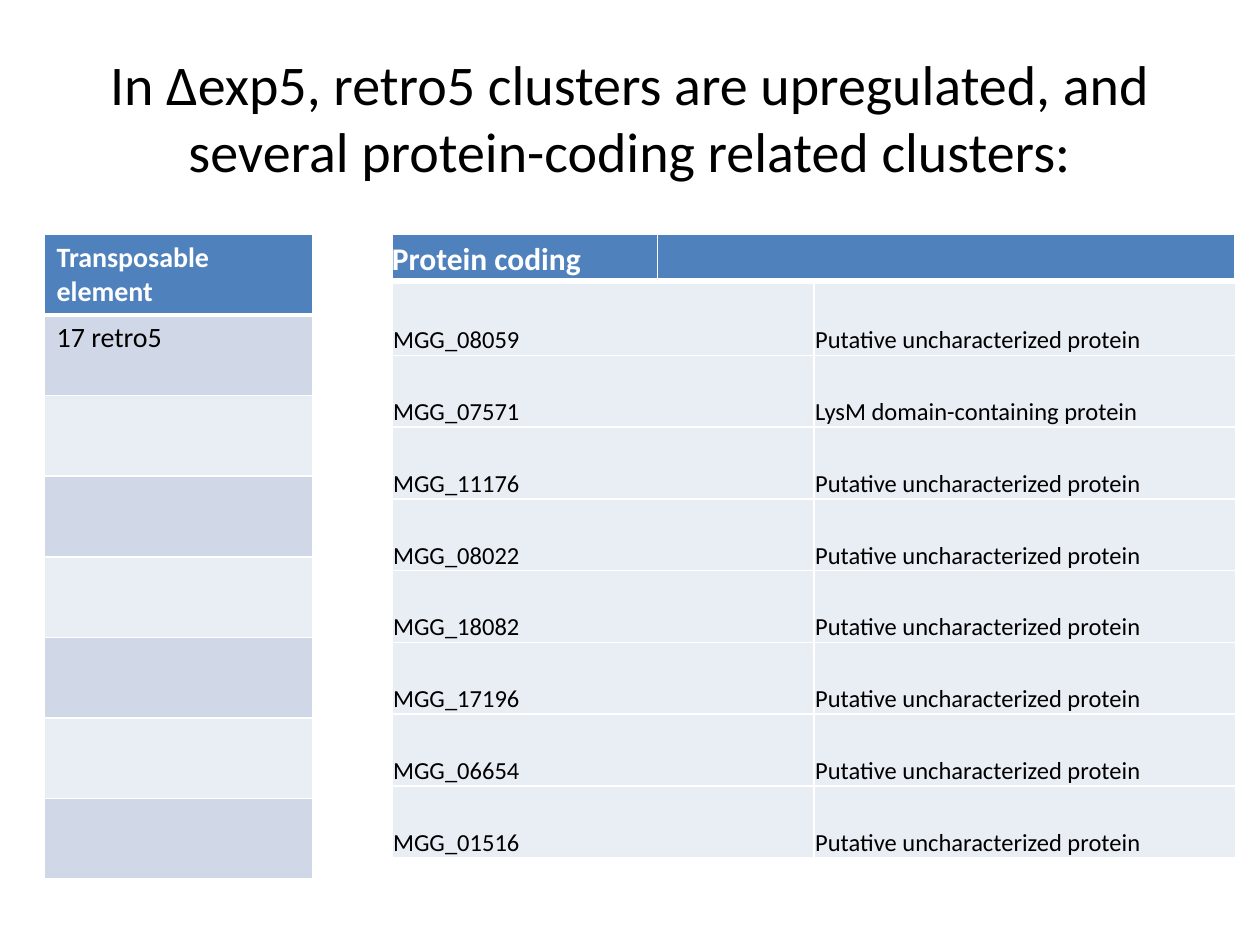
from dataclasses import dataclass
from lxml import etree
from pptx import Presentation
from pptx.dml.color import RGBColor
from pptx.enum.text import MSO_ANCHOR, PP_ALIGN
from pptx.oxml.ns import qn
from pptx.util import Inches, Pt

TOP, MIDDLE, BOTTOM = MSO_ANCHOR.TOP, MSO_ANCHOR.MIDDLE, MSO_ANCHOR.BOTTOM
CENTER = PP_ALIGN.CENTER


@dataclass(frozen=True)
class Theme:
    font: str = "Calibri"
    black: str = "000000"
    white: str = "FFFFFF"
    blue: str = "4F81BD"
    dark: str = "D0D8E8"
    light: str = "E9EDF4"
    title: int = 32
    head: int = 18
    label: int = 16
    body: int = 14


theme = Theme()


def style(frame, size, color, bold=False):
    for para in frame.paragraphs:
        para.font.size = Pt(size)
        for run in para.runs:
            run.font.name = theme.font
            run.font.size = Pt(size)
            run.font.bold = bold
            run.font.color.rgb = RGBColor.from_string(color)


def add_grid(slide, left, top, widths, height, rows, fills, size, anchor, inset, head):
    shape = slide.shapes.add_table(
        len(rows), len(widths), Inches(left), Inches(top),
        Inches(sum(widths)), Inches(height * len(rows)))
    table = shape.table
    table.first_row = table.horz_banding = False
    for col, width in zip(table.columns, widths):
        col.width = Inches(width)
    for r, texts in enumerate(rows):
        table.rows[r].height = Inches(height)
        top_row = head and r == 0
        for c, text in enumerate(texts):
            cell = table.cell(r, c)
            cell.text_frame.text = text
            style(cell.text_frame, size, theme.white if top_row else theme.black, top_row)
            cell.vertical_anchor = anchor
            (cell.margin_left, cell.margin_top,
             cell.margin_right, cell.margin_bottom) = map(Inches, inset)
            props = cell._tc.get_or_add_tcPr()
            for side in "LRTB":
                thick = len(rows) > 1 and head and (r, side) in ((0, "B"), (1, "T"))
                line = etree.SubElement(props, qn(f"a:ln{side}"), w=str(Pt(3 if thick else 1)))
                paint = etree.SubElement(line, qn("a:solidFill"))
                etree.SubElement(paint, qn("a:srgbClr"), val=theme.white)
            cell.fill.solid()
            cell.fill.fore_color.rgb = RGBColor.from_string(fills[r])


deck = Presentation()
deck.slide_width, deck.slide_height = Inches(10), Inches(7.5)
slide = deck.slides.add_slide(deck.slide_layouts[6])

title = slide.shapes.add_textbox(Inches(0.5), Inches(0.3), Inches(9), Inches(1.25))
frame = title.text_frame
frame.word_wrap = True
frame.vertical_anchor = MIDDLE
frame.text = "In ∆exp5, retro5 clusters are upregulated, and several protein-coding related clusters:"
frame.paragraphs[0].alignment = CENTER
style(frame, theme.title, theme.black)

items = ["Transposable element", "17 retro5"] + [""] * 6
bands = [theme.blue] + [theme.light if r % 2 == 0 else theme.dark for r in range(1, 8)]
add_grid(slide, 0.35, 1.86, [2.13], 0.64, [[text] for text in items], bands,
         theme.label, TOP, (0.1, 0.05, 0.1, 0.05), True)

add_grid(slide, 3.11, 1.86, [2.11, 4.58], 0.35, [["Protein coding", ""]], [theme.blue],
         theme.head, BOTTOM, (0, 0, 0, 0), True)

plain = "Putative uncharacterized protein"
genes = [
    ["MGG_08059", plain],
    ["MGG_07571", "LysM domain-containing protein"],
    ["MGG_11176", plain],
    ["MGG_08022", plain],
    ["MGG_18082", plain],
    ["MGG_17196", plain],
    ["MGG_06654", plain],
    ["MGG_01516", plain],
]
add_grid(slide, 3.11, 2.25, [3.35, 3.35], 0.57, genes, [theme.light] * len(genes),
         theme.body, BOTTOM, (0.01, 0.01, 0.01, 0), False)

deck.save("out.pptx")
